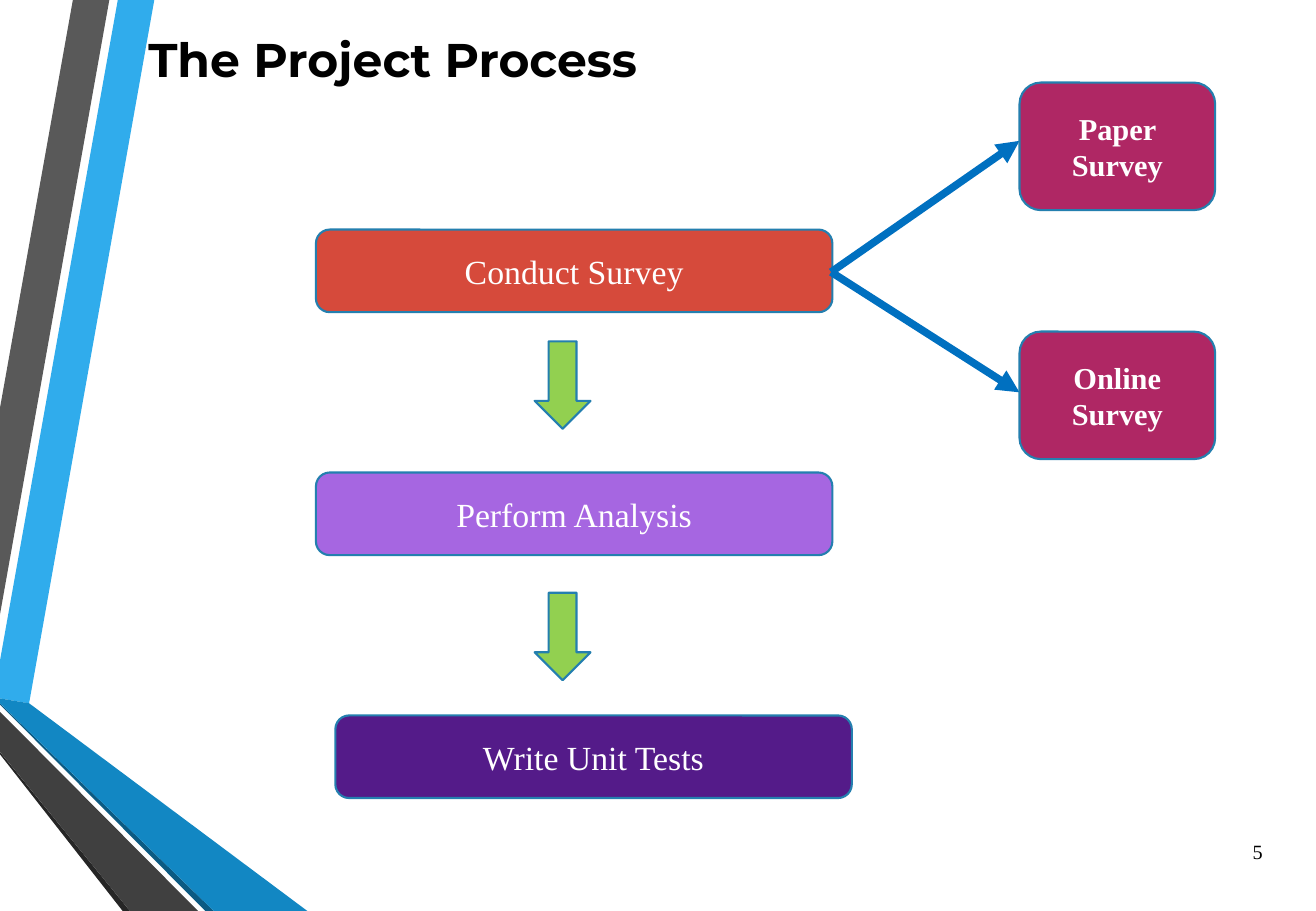
from dataclasses import dataclass

from lxml.etree import SubElement
from pptx import Presentation
from pptx.dml.color import RGBColor
from pptx.enum.shapes import MSO_CONNECTOR, MSO_SHAPE
from pptx.enum.text import MSO_ANCHOR, MSO_AUTO_SIZE, PP_ALIGN
from pptx.oxml.ns import qn
from pptx.shapes.autoshape import Shape
from pptx.slide import Slide
from pptx.text.text import TextFrame
from pptx.util import Emu, Pt

EMU_PER_PX = 9144  # 100 px to the inch
BODY_FONT = "Times New Roman"
COLORS = {
    "sky": "30ACEC", "grey": "595959", "near_black": "262626",
    "deep_blue": "0C5A82", "blue": "1287C3", "charcoal": "404040",
    "red": "D64A3B", "lilac": "A666E1", "indigo": "541B89",
    "magenta": "AF2764", "green": "92D050", "outline": "247FAF",
    "link": "0070C0", "white": "FFFFFF", "black": "000000",
}


@dataclass(frozen=True)
class Band:
    color: str
    points: tuple[tuple[int, int], ...]


@dataclass(frozen=True)
class Step:
    label: str
    left: int
    color: str


@dataclass(frozen=True)
class Survey:
    label: str
    top: int
    arrow_end: int


BANDS = (
    Band("sky", ((0, 544), (0, 575), (24, 579), (127, 0), (97, 0))),
    Band("grey", ((90, 0), (60, 0), (0, 336), (0, 506))),
    Band("near_black", ((0, 619), (0, 621), (101, 750), (107, 750))),
    Band("deep_blue", ((0, 579), (0, 580), (169, 750), (176, 750))),
    Band("blue", ((0, 579), (176, 750), (253, 750), (24, 579), (0, 575))),
    Band("charcoal", ((0, 619), (107, 750), (163, 750), (0, 586))),
)
STEPS = (
    Step("Conduct Survey", 260, "red"),
    Step("Perform Analysis", 260, "lilac"),
    Step("Write Unit Tests", 276, "indigo"),
)
STEP_TOP, STEP_PITCH, STEP_WIDTH, STEP_HEIGHT = 189, 200, 425, 68
DOWN_ARROW_TOPS = (281, 488)
SURVEYS = (Survey("Paper Survey", 68, 116), Survey("Online Survey", 273, 323))
SURVEY_LEFT = 839
FORK = (684, 224)


def px(length: int) -> Emu:
    return Emu(length * EMU_PER_PX)


def rgb(name: str) -> RGBColor:
    return RGBColor.from_string(COLORS[name])


def write(frame: TextFrame, words: str, size: int, color: str, align: PP_ALIGN,
          bold: bool = False, font: str = BODY_FONT,
          anchor: MSO_ANCHOR = MSO_ANCHOR.MIDDLE) -> None:
    frame.word_wrap = True
    frame.auto_size = MSO_AUTO_SIZE.NONE
    frame.vertical_anchor = anchor
    paragraph = frame.paragraphs[0]
    paragraph.alignment = align
    run = paragraph.add_run()
    run.text = words
    run.font.name = font
    run.font.size = Pt(size)
    run.font.bold = bold
    run.font.color.rgb = rgb(color)


def paint(shape: Shape, color: str) -> None:
    shape.shadow.inherit = False
    shape.fill.solid()
    shape.fill.fore_color.rgb = rgb(color)


def add_band(slide: Slide, band: Band) -> None:
    start, *rest = band.points
    builder = slide.shapes.build_freeform(*start, scale=EMU_PER_PX)
    builder.add_line_segments(rest, close=True)
    outline = builder.convert_to_shape()
    paint(outline, band.color)
    outline.line.fill.background()


def add_outlined(slide: Slide, preset: MSO_SHAPE, left: int, top: int,
                 width: int, height: int, color: str) -> Shape:
    shape = slide.shapes.add_shape(preset, px(left), px(top), px(width), px(height))
    paint(shape, color)
    shape.line.color.rgb = rgb("outline")
    shape.line.width = Pt(1.25)
    return shape


def add_link(slide: Slide, start: tuple[int, int], end: tuple[int, int]) -> None:
    link = slide.shapes.add_connector(
        MSO_CONNECTOR.STRAIGHT, *map(px, start), *map(px, end))
    link.line.color.rgb = rgb("link")
    link.line.width = Pt(4.5)
    SubElement(link.line._get_or_add_ln(), qn("a:tailEnd"), type="triangle")
    SubElement(link._element.spPr, qn("a:effectLst"))


def add_title(slide: Slide) -> None:
    title = slide.shapes.title
    title.left, title.top, title.width, title.height = map(px, (112, 20, 456, 57))
    write(title.text_frame, "The Project Process", 28, "black", PP_ALIGN.LEFT,
          bold=True, font="Montserrat", anchor=MSO_ANCHOR.TOP)


def main() -> None:
    deck = Presentation()
    deck.slide_width, deck.slide_height = px(1083), px(750)
    slide = deck.slides.add_slide(deck.slide_layouts.get_by_name("Title Only"))

    for band in BANDS:
        add_band(slide, band)
    add_title(slide)

    for index, step in enumerate(STEPS):
        box = add_outlined(slide, MSO_SHAPE.ROUNDED_RECTANGLE, step.left,
                           STEP_TOP + index * STEP_PITCH,
                           STEP_WIDTH, STEP_HEIGHT, step.color)
        write(box.text_frame, step.label, 20, "white", PP_ALIGN.CENTER)
    for top in DOWN_ARROW_TOPS:
        add_outlined(slide, MSO_SHAPE.DOWN_ARROW, 440, top, 46, 72, "green")

    for survey in SURVEYS:
        add_link(slide, FORK, (SURVEY_LEFT, survey.arrow_end))
        box = add_outlined(slide, MSO_SHAPE.ROUNDED_RECTANGLE, SURVEY_LEFT,
                           survey.top, 161, 105, "magenta")
        write(box.text_frame, survey.label, 18, "white", PP_ALIGN.CENTER, bold=True)

    page_number = slide.shapes.add_textbox(*map(px, (1000, 681, 49, 40)))
    write(page_number.text_frame, "5", 12, "black", PP_ALIGN.RIGHT)
    deck.save("out.pptx")


if __name__ == "__main__":
    main()
